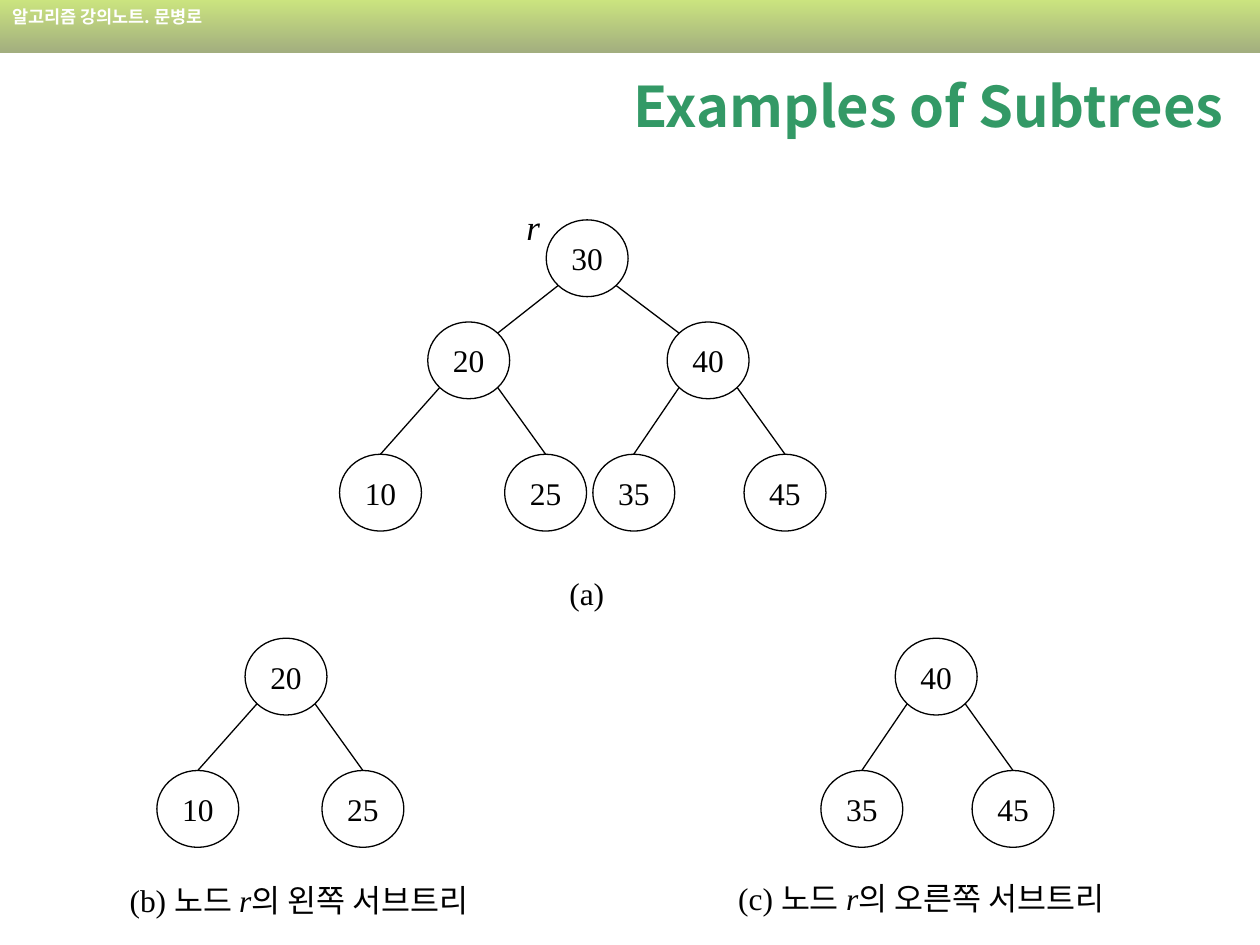
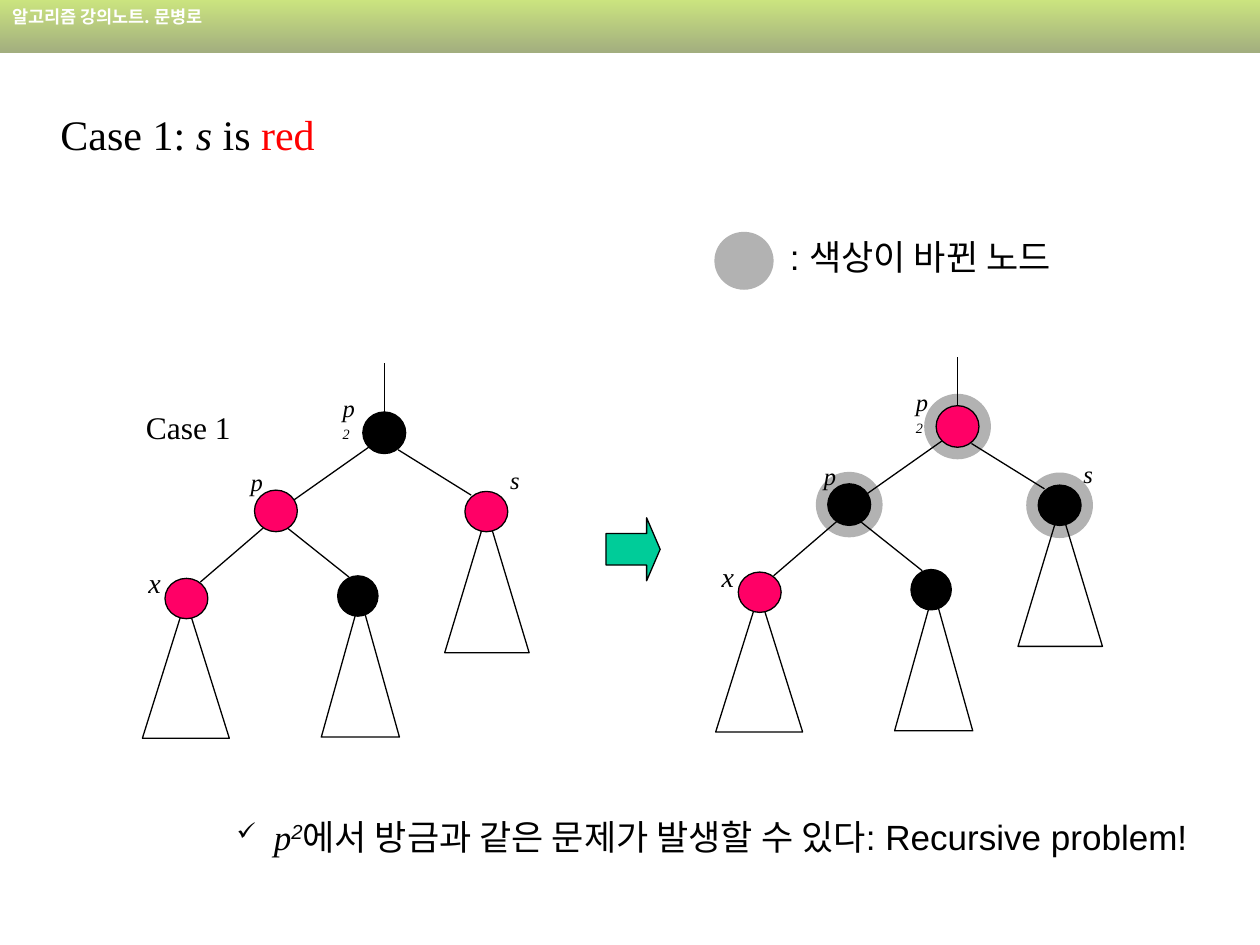
from lxml.etree import SubElement
from pptx import Presentation
from pptx.dml.color import RGBColor
from pptx.enum.shapes import MSO_CONNECTOR, MSO_SHAPE
from pptx.enum.text import MSO_ANCHOR, MSO_AUTO_SIZE, PP_ALIGN
from pptx.oxml.ns import qn
from pptx.util import Inches, Pt

# Shared look
COLORS = {"black": "000000", "white": "FFFFFF", "title": "339966", "red": "FF0000",
          "node_red": "FF0066", "halo": "B2B2B2", "arrow": "00CC99",
          "band_top": "99CC00", "band_bottom": "475E00"}
SERIF, SANS, KOREAN = "Times New Roman", "Arial", "Noto Sans CJK KR"
BAND_TEXT = "알고리즘 강의노트. 문병로"
ITALIC = {"italic": True}
SUPER = {"italic": True, "sup": True}

# Slide 1: centres of the nodes, edges and the subtrees drawn again below
NODE_W, NODE_H = 0.65, 0.61
TREE = {"30": (4.66, 2.05), "20": (3.72, 2.86), "40": (5.62, 2.86),
        "10": (3.02, 3.91), "25": (4.33, 3.91), "35": (5.03, 3.91), "45": (6.23, 3.91)}
CHILDREN = {"30": ("20", "40"), "20": ("10", "25"), "40": ("35", "45")}
TREE_COPIES = [("30", 0, 0), ("20", -1.45, 2.51), ("40", 1.81, 2.51)]
TREE_LABELS = [
    ((4.42, 4.51, 0.48, 0.4), ["(a)"], 18),
    ((0.93, 6.94, 3.11, 0.4), ["(b) 노드 ", ("r", ITALIC), "의 왼쪽 서브트리"], 18),
    ((5.76, 6.93, 3.32, 0.4), ["(c) 노드 ", ("r", ITALIC), "의 오른쪽 서브트리"], 18),
    ((4.08, 1.58, 0.31, 0.44), [("r", ITALIC)], 20),
]

# Slide 2: one red-black tree, drawn before and after recolouring
RB_NODES = {"p2": (2.88, 3.27, 0.34, 0.33), "p": (2.02, 3.89, 0.34, 0.33),
            "s": (3.69, 3.9, 0.34, 0.32), "x": (1.31, 4.59, 0.34, 0.32),
            "sibling": (2.68, 4.57, 0.32, 0.32)}
RB_EDGES = [(3.05, 3.27, 3.05, 2.88), (2.94, 3.54, 2.33, 3.97), (3.16, 3.57, 3.74, 3.93),
            (2.09, 4.19, 1.59, 4.62), (2.28, 4.19, 2.77, 4.58)]
RB_SUBTREES = [(1.13, 4.76, 0.69, 1.1), (2.55, 4.74, 0.62, 1.11), (3.53, 4.07, 0.67, 1.11)]
RB_LABELS = [
    ((2.62, 3.07, 0.35, 0.34), [("p", ITALIC), ("2", SUPER)], 14),
    ((1.89, 3.66, 0.3, 0.34), [("p", ITALIC)], 14),
    ((3.95, 3.64, 0.27, 0.34), [("s", ITALIC)], 14),
    ((1.08, 4.44, 0.3, 0.37), [("x", ITALIC)], 16),
]
HALO_W, HALO_H = 0.53, 0.52
RB_STATES = [  # shift, red nodes, recoloured nodes
    (0, 0, {"p", "s", "x"}, ()),
    (4.55, -0.05, {"p2", "x"}, ("s", "p2", "p")),
]
RECURSION_NOTE = [(" ", {"size": 14}), ("p", {"italic": True, "font": SERIF}), ("2", SUPER),
                  "에서 방금과 같은 문제가 발생할 수 있다: Recursive problem!"]


def rgb(name):
    return RGBColor.from_string(COLORS[name])


def write(frame, runs, size, font=SERIF, color="black", bold=False, align=PP_ALIGN.LEFT):
    """Fill the first paragraph; a run is a string or (string, style)."""
    paragraph = frame.paragraphs[0]
    paragraph.alignment = align
    base = paragraph.font
    base.size, base.name, base.bold = Pt(size), font, bold
    base.color.rgb = rgb(color)
    defaults = paragraph._p.pPr.find(qn("a:defRPr"))
    SubElement(defaults, qn("a:ea")).set("typeface", KOREAN)
    for item in runs:
        text, style = (item, {}) if isinstance(item, str) else item
        run = paragraph.add_run()
        run.text = text
        if "italic" in style:
            run.font.italic = True
        if "size" in style:
            run.font.size = Pt(style["size"])
        if "font" in style:
            run.font.name = style["font"]
        if "color" in style:
            run.font.color.rgb = rgb(style["color"])
        if "sup" in style:
            run._r.get_or_add_rPr().set("baseline", "30000")
    return paragraph


def add_label(slide, box, runs, size, font=SERIF, wrap=False):
    frame = slide.shapes.add_textbox(*map(Inches, box)).text_frame
    frame.word_wrap = wrap
    frame.auto_size = MSO_AUTO_SIZE.SHAPE_TO_FIT_TEXT
    return write(frame, runs, size, font)


def add_figure(slide, kind, box, fill=None, outline=True):
    figure = slide.shapes.add_shape(kind, *map(Inches, box))
    figure.shadow.inherit = False
    if fill:
        figure.fill.solid()
        figure.fill.fore_color.rgb = rgb(fill)
    else:
        figure.fill.background()
    if outline:
        figure.line.color.rgb = rgb("black")
        figure.line.width = Pt(0.75)
    else:
        figure.line.fill.background()
    return figure


def add_edge(slide, x1, y1, x2, y2):
    edge = slide.shapes.add_connector(MSO_CONNECTOR.STRAIGHT, *map(Inches, (x1, y1, x2, y2)))
    edge.line.color.rgb = rgb("black")
    edge.line.width = Pt(0.75)
    SubElement(edge._element.spPr, qn("a:effectLst"))


def add_slide(deck, title_box, title_runs, anchor, **title_style):
    """Start a slide with the top band and its title."""
    slide = deck.slides.add_slide(deck.slide_layouts[5])
    band = add_figure(slide, MSO_SHAPE.RECTANGLE, (0, 0, 10, 0.42), outline=False)
    band.fill.gradient()
    band.fill.gradient_angle = 270
    for stop, name in zip(band.fill.gradient_stops, ("band_top", "band_bottom")):
        stop.color.rgb = rgb(name)
    for color in band._element.spPr.iter(qn("a:srgbClr")):
        SubElement(color, qn("a:alpha")).set("val", "50000")
    band.text_frame.vertical_anchor = MSO_ANCHOR.TOP
    write(band.text_frame, [BAND_TEXT], 10, KOREAN, "white", bold=True)

    title = slide.shapes.title
    title.left, title.top, title.width, title.height = map(Inches, title_box)
    frame = title.text_frame
    frame.word_wrap, frame.auto_size = True, MSO_AUTO_SIZE.NONE
    frame.vertical_anchor = anchor
    write(frame, title_runs, **title_style)
    return slide


def draw_tree(slide, root, dx, dy):
    x, y = TREE[root][0] + dx, TREE[root][1] + dy
    node = add_figure(slide, MSO_SHAPE.OVAL, (x - NODE_W / 2, y - NODE_H / 2, NODE_W, NODE_H))
    node.text_frame.word_wrap = False
    node.text_frame.vertical_anchor = MSO_ANCHOR.MIDDLE
    write(node.text_frame, [root], 18, align=PP_ALIGN.CENTER)
    # Edges leave at 45 degrees and reach a leaf at its top, an inner node at 45 degrees
    diag_x, diag_y = NODE_W / 2 * 0.71, NODE_H / 2 * 0.71
    for side, child in zip((-1, 1), CHILDREN.get(root, ())):
        child_x, child_y = TREE[child][0] + dx, TREE[child][1] + dy
        if child in CHILDREN:
            end = child_x - side * diag_x, child_y - diag_y
        else:
            end = child_x, child_y - NODE_H / 2
        add_edge(slide, x + side * diag_x, y + diag_y, *end)
        draw_tree(slide, child, dx, dy)


def draw_red_black(slide, dx, dy, red, recoloured):
    def moved(box):
        return (box[0] + dx, box[1] + dy, *box[2:])

    for name in recoloured:
        x, y, w, h = moved(RB_NODES[name])
        halo = (x + (w - HALO_W) / 2, y + (h - HALO_H) / 2, HALO_W, HALO_H)
        add_figure(slide, MSO_SHAPE.OVAL, halo, "halo", outline=False)
    for box in RB_SUBTREES:
        add_figure(slide, MSO_SHAPE.ISOSCELES_TRIANGLE, moved(box))
    for x1, y1, x2, y2 in RB_EDGES:
        add_edge(slide, x1 + dx, y1 + dy, x2 + dx, y2 + dy)
    for name, box in RB_NODES.items():
        add_figure(slide, MSO_SHAPE.OVAL, moved(box), "node_red" if name in red else "black")
    for box, runs, size in RB_LABELS:
        add_label(slide, moved(box), runs, size)


def build_subtrees(deck):
    slide = add_slide(deck, (4.74, 0.42, 5.26, 0.83), ["Examples of Subtrees"],
                      MSO_ANCHOR.MIDDLE, size=32, font=KOREAN, color="title", bold=True,
                      align=PP_ALIGN.CENTER)
    for root, dx, dy in TREE_COPIES:
        draw_tree(slide, root, dx, dy)
    for box, runs, size in TREE_LABELS:
        add_label(slide, box, runs, size)


def build_case(deck):
    title = ["Case 1: ", ("s ", ITALIC), "is ", ("red", {"color": "red"})]
    slide = add_slide(deck, (0.38, 0.81, 8.54, 1.06), title, MSO_ANCHOR.TOP, size=24)
    for state in RB_STATES:
        draw_red_black(slide, *state)
    add_label(slide, (1.06, 3.19, 0.87, 0.4), ["Case 1"], 18)
    arrow = add_figure(slide, MSO_SHAPE.RIGHT_ARROW, (4.81, 4.11, 0.43, 0.5), "arrow")
    arrow.adjustments[1] = 0.25

    # Legend
    add_figure(slide, MSO_SHAPE.OVAL, (5.67, 1.84, 0.47, 0.46), "halo", outline=False)
    add_label(slide, (6.17, 1.82, 2.37, 0.44), [": 색상이 바뀐 노드"], 20, SANS)

    # Closing note with a check mark
    note_frame = slide.shapes.add_textbox(*map(Inches, (1.78, 6.42, 7.89, 0.44))).text_frame
    note_frame.word_wrap = True
    note_frame.auto_size = MSO_AUTO_SIZE.SHAPE_TO_FIT_TEXT
    indent = note_frame.paragraphs[0]._p.get_or_add_pPr()
    indent.set("marL", str(Inches(0.24)))
    indent.set("indent", str(Inches(-0.24)))
    SubElement(indent, qn("a:buChar")).set("char", "✓")
    write(note_frame, RECURSION_NOTE, 20, SANS)


def main():
    deck = Presentation()
    deck.slide_width, deck.slide_height = Inches(10), Inches(7.5)
    build_subtrees(deck)
    build_case(deck)
    deck.save("out.pptx")


if __name__ == "__main__":
    main()
